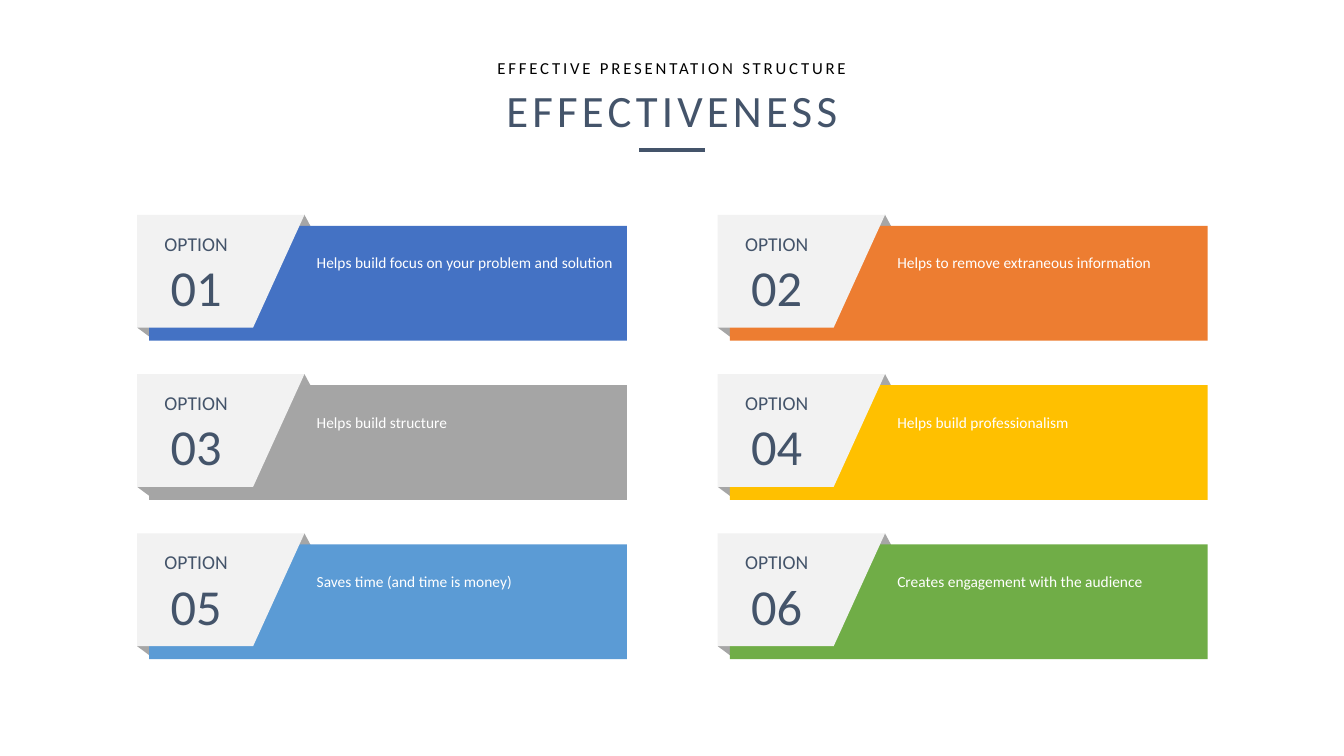
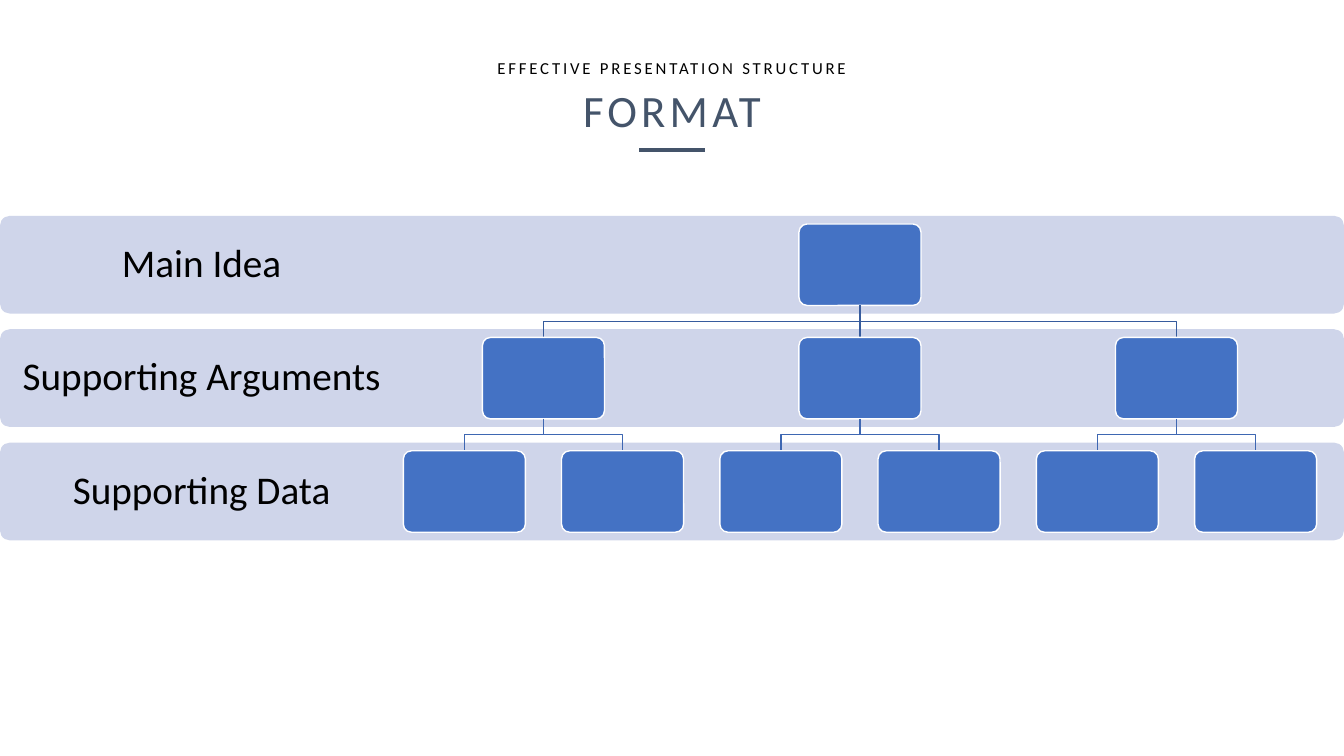
from lxml import etree
from pptx import Presentation
from pptx.dml.color import RGBColor
from pptx.enum.shapes import MSO_CONNECTOR, MSO_SHAPE
from pptx.enum.text import MSO_ANCHOR, MSO_AUTO_SIZE, PP_ALIGN
from pptx.oxml.ns import qn
from pptx.util import Pt

LINE = MSO_CONNECTOR.STRAIGHT
RECT, ROUND = MSO_SHAPE.RECTANGLE, MSO_SHAPE.ROUNDED_RECTANGLE
TOP, MIDDLE = MSO_ANCHOR.TOP, MSO_ANCHOR.MIDDLE
LEFT, CENTER = PP_ALIGN.LEFT, PP_ALIGN.CENTER
FIXED = MSO_AUTO_SIZE.NONE

# Shared style
FONT = "Calibri"
WIDTH, HEIGHT = 960, 540
TOPIC = "EFFECTIVE PRESENTATION STRUCTURE"
BLACK = RGBColor(0x00, 0x00, 0x00)
WHITE = RGBColor(0xFF, 0xFF, 0xFF)
SLATE = RGBColor(0x44, 0x54, 0x6A)
FOLD = RGBColor(0xA6, 0xA6, 0xA6)
PLATE = RGBColor(0xF2, 0xF2, 0xF2)
BLUE = RGBColor(0x44, 0x72, 0xC4)
ORANGE = RGBColor(0xED, 0x7D, 0x31)
GRAY = RGBColor(0xA5, 0xA5, 0xA5)
GOLD = RGBColor(0xFF, 0xC0, 0x00)
SKY = RGBColor(0x5B, 0x9B, 0xD5)
GREEN = RGBColor(0x70, 0xAD, 0x47)
BAND = RGBColor(0xCF, 0xD5, 0xEA)
STEM = RGBColor(0x36, 0x5B, 0x9D)
TWIG = RGBColor(0x3E, 0x67, 0xB2)

# Option cards
CARD_X, CARD_Y = 98, 153.4
CARD_DX, CARD_DY = 414.7, 113.8
CARDS = [
    ("Helps build focus on your problem and solution", BLUE),
    ("Helps to remove extraneous information", ORANGE),
    ("Helps build structure", GRAY),
    ("Helps build professionalism", GOLD),
    ("Saves time (and time is money)", SKY),
    ("Creates engagement with the audience", GREEN),
]

# Tree
LEVELS = ["Main Idea", "Supporting Arguments", "Supporting Data"]
BAND_Y, BAND_H, BAND_DY = 154.2, 69.8, 81
NODE_W, NODE_H = 87.2, 58.2
NODE_PAD = (BAND_H - NODE_H) / 2
ROOT_X, ARG_DX, DATA_DX = 614.3, 226.1, 113


def write(shape, text, size, color, align=CENTER, anchor=TOP,
          inset=(0, 0), space=1.0, track=0):
    frame = shape.text_frame
    frame.text = text
    frame.word_wrap = True
    frame.auto_size = FIXED
    frame.vertical_anchor = anchor
    frame.margin_left = frame.margin_right = Pt(inset[0])
    frame.margin_top = frame.margin_bottom = Pt(inset[1])
    para = frame.paragraphs[0]
    para.alignment = align
    para.line_spacing = space
    run = para.runs[0]
    run.font.name = FONT
    run.font.size = Pt(size)
    run.font.color.rgb = color
    if track:
        run.font._element.set("spc", str(track * 100))


def label(shapes, box, text, size, color, **style):
    item = shapes.add_textbox(*map(Pt, box))
    write(item, text, size, color, **style)


def block(shapes, kind, box, fill, edge=None):
    item = shapes.add_shape(kind, *map(Pt, box))
    item.shadow.inherit = False
    item.fill.solid()
    item.fill.fore_color.rgb = fill
    if edge is None:
        item.line.fill.background()
    else:
        item.line.color.rgb = edge
        item.line.width = Pt(1)
    if kind == ROUND:
        item.adjustments[0] = 0.1


def trace(shapes, points, close):
    spots = [(Pt(x), Pt(y)) for x, y in points]
    pen = shapes.build_freeform(*spots[0])
    pen.add_line_segments(spots[1:], close=close)
    item = pen.convert_to_shape()
    item.shadow.inherit = False
    return item


def patch(shapes, x, y, points, fill):
    item = trace(shapes, [(x + dx, y + dy) for dx, dy in points], True)
    item.fill.solid()
    item.fill.fore_color.rgb = fill
    item.line.fill.background()


def rule(shapes, start, end, color, width):
    item = shapes.add_connector(LINE, *map(Pt, (*start, *end)))
    item.line.color.rgb = color
    item.line.width = Pt(width)
    etree.SubElement(item._element.spPr, qn("a:effectLst"))


def page(deck, title):
    """Add a slide with the shared heading and return its shapes."""
    shapes = deck.slides.add_slide(deck.slide_layouts[5]).shapes
    head = shapes.title
    head.left, head.top, head.width, head.height = map(Pt, (217, 59, 526, 39))
    write(head, title, 32, SLATE, track=3)
    label(shapes, (340.4, 31, 279.2, 36), TOPIC, 12, BLACK,
          anchor=MIDDLE, space=0.9, track=2)
    rule(shapes, (456.5, 107.3), (503.5, 107.3), SLATE, 3)
    return shapes


def card(shapes, x, y, number, text, color):
    group = shapes.add_group_shape().shapes
    # Folded corners, colour band and plate
    patch(group, x, y, [(0, 80.6), (10.8, 88.6), (10.8, 75.6)], FOLD)
    patch(group, x, y, [(119.5, 0), (126, 12.2), (106.6, 12.2)], FOLD)
    block(group, RECT, (x + 8.6, y + 7.9, 341.3, 82), color)
    patch(group, x, y, [(119.5, 0), (82.8, 80.6), (0, 80.6), (0, 0)], PLATE)
    # Wording
    label(group, (x + 0.7, y + 29.5, 82.8, 44.6), f"{number:02}", 36, SLATE)
    label(group, (x + 0.7, y + 8.6, 82.8, 24.5), "OPTION", 14, SLATE,
          inset=(7.2, 3.6))
    label(group, (x + 128.2, y + 23.8, 212, 16), text, 11, WHITE,
          align=LEFT, space=1.3)


def node(shapes, x, level):
    top = BAND_Y + level * BAND_DY + NODE_PAD
    block(shapes, ROUND, (x - NODE_W / 2, top, NODE_W, NODE_H), BLUE, WHITE)


def branch(shapes, x, child, level, color):
    """Join a node to its child on the next level."""
    end = BAND_Y + (level + 1) * BAND_DY + NODE_PAD
    start = end - BAND_DY + NODE_H
    if x == child:
        rule(shapes, (x, start), (x, end), color, 1)
        return
    mid = (start + end) / 2
    item = trace(shapes, [(x, start), (x, mid), (child, mid), (child, end)],
                 False)
    item.fill.background()
    item.line.color.rgb = color
    item.line.width = Pt(1)


def options(deck):
    shapes = page(deck, "EFFECTIVENESS")
    for i, (text, color) in enumerate(CARDS):
        row, col = divmod(i, 2)
        card(shapes, CARD_X + col * CARD_DX, CARD_Y + row * CARD_DY,
             i + 1, text, color)


def tree(deck):
    shapes = page(deck, "FORMAT")
    # Level bands
    for i, name in enumerate(LEVELS):
        top = BAND_Y + i * BAND_DY
        block(shapes, ROUND, (0, top, WIDTH, BAND_H), BAND)
        label(shapes, (0, top, 288, BAND_H), name, 28, BLACK,
              anchor=MIDDLE, inset=(15, 15), space=0.9)
    # Nodes and branches
    node(shapes, ROOT_X, 0)
    for step in (-1, 0, 1):
        arg = ROOT_X + step * ARG_DX
        branch(shapes, ROOT_X, arg, 0, STEM)
        node(shapes, arg, 1)
        for side in (-0.5, 0.5):
            data = arg + side * DATA_DX
            branch(shapes, arg, data, 1, TWIG)
            node(shapes, data, 2)


def main():
    deck = Presentation()
    deck.slide_width, deck.slide_height = Pt(WIDTH), Pt(HEIGHT)
    options(deck)
    tree(deck)
    deck.save("out.pptx")


if __name__ == "__main__":
    main()
